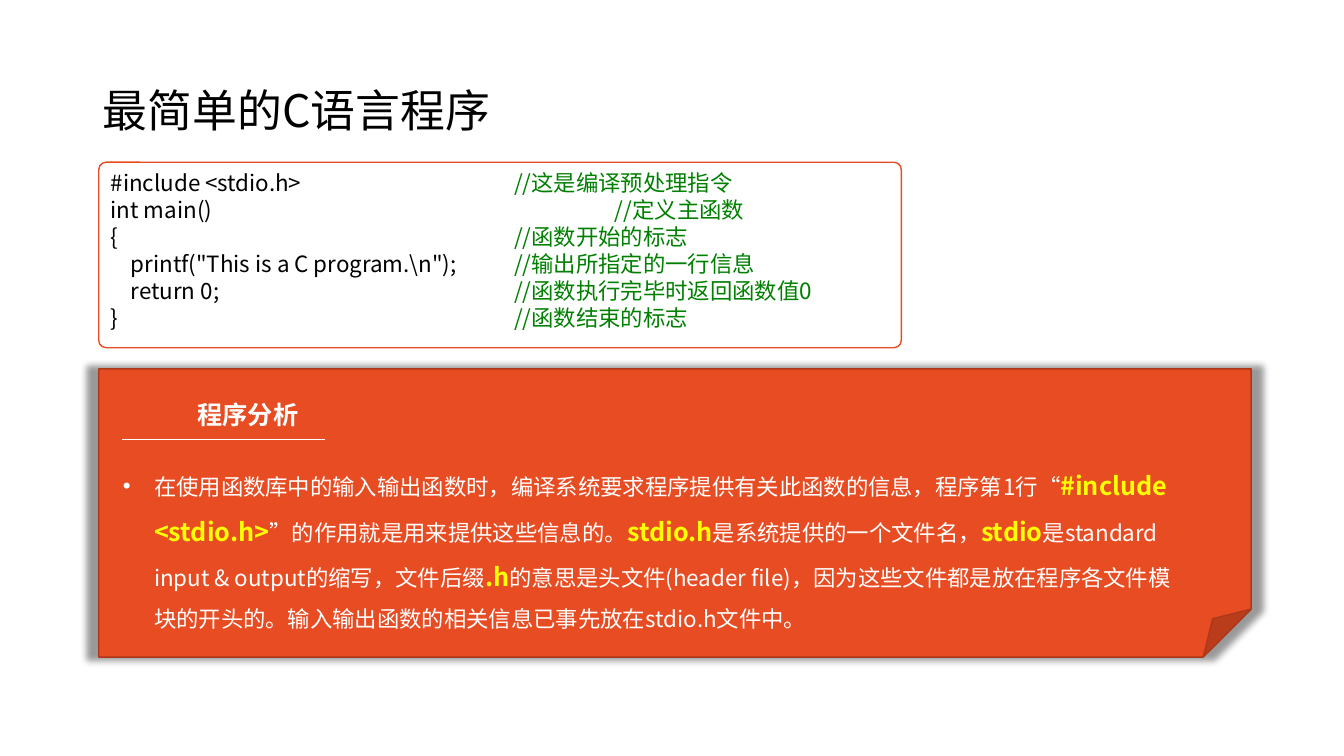
from lxml import etree
from pptx import Presentation
from pptx.dml.color import RGBColor
from pptx.enum.lang import MSO_LANGUAGE_ID
from pptx.enum.shapes import MSO_CONNECTOR, MSO_SHAPE
from pptx.enum.text import MSO_ANCHOR, PP_ALIGN
from pptx.oxml.ns import qn
from pptx.util import Inches, Pt

ROUNDED = MSO_SHAPE.ROUNDED_RECTANGLE
FOLDED = MSO_SHAPE.FOLDED_CORNER
STRAIGHT = MSO_CONNECTOR.STRAIGHT
TOP, MIDDLE = MSO_ANCHOR.TOP, MSO_ANCHOR.MIDDLE
LEFT, JUSTIFY = PP_ALIGN.LEFT, PP_ALIGN.JUSTIFY
CHINESE = MSO_LANGUAGE_ID.SIMPLIFIED_CHINESE

WHITE = RGBColor(0xFF, 0xFF, 0xFF)
BLACK = RGBColor(0x00, 0x00, 0x00)
GREEN = RGBColor(0x00, 0x80, 0x00)
YELLOW = RGBColor(0xFF, 0xFF, 0x00)
ORANGE = RGBColor(0xE8, 0x4C, 0x22)
RUST = RGBColor(0xAC, 0x38, 0x19)

CODE_LINES = [
    ("#include <stdio.h>\t", "//这是编译预处理指令"),
    ("int main()\t\t", "//定义主函数"),
    ("{\t", "//函数开始的标志"),
    ("    printf(\"This is a C program.\\n\");\t", "//输出所指定的一行信息"),
    ("    return 0;\t", "//函数执行完毕时返回函数值0"),
    ("}\t", "//函数结束的标志"),
]
ANALYSIS = [
    "在使用函数库中的输入输出函数时，编译系统要求程序提供有关此函数的信息，程序第1行“",
    "#include <stdio.h>",
    "”的作用就是用来提供这些信息的。",
    "stdio.h",
    "是系统提供的一个文件名，",
    "stdio",
    "是standard input & output的缩写，文件后缀",
    ".h",
    "的意思是头文件(header file)，因为这些文件都是放在程序各文件模块的开头的。"
    "输入输出函数的相关信息已事先放在stdio.h文件中。",
]


def add_child(parent, tag, **values):
    child = etree.SubElement(parent, qn(tag))
    for name, value in values.items():
        child.set(name, str(value))
    return child


class SlideBuilder:
    font_name = "Noto Sans CJK SC"

    def __init__(self, page):
        self.page = page

    def style(self, size, color, bold=False):
        return {"size": Pt(size), "color": color, "bold": bold}

    def add_span(self, para, text, style):
        span = para.add_run()
        span.text = text
        settings = {**style, "name": self.font_name, "language_id": CHINESE}
        span.font.color.rgb = settings.pop("color")
        for name, value in settings.items():
            setattr(span.font, name, value)
        add_child(span._r.get_or_add_rPr(), "a:ea", typeface=self.font_name)

    def fill_text(self, shape, paragraphs, anchor=TOP, align=LEFT, spacing=1.0,
                  bullet=None, tabs=()):
        frame = shape.text_frame
        frame.word_wrap = True
        frame.vertical_anchor = anchor
        for number, spans in enumerate(paragraphs):
            para = frame.add_paragraph() if number else frame.paragraphs[0]
            properties = para._p.get_or_add_pPr()
            if bullet:
                indent = Inches(0.31)
                properties.set("marL", str(indent))
                properties.set("indent", str(-indent))
                bullet_color = add_child(properties, "a:buClr")
                add_child(bullet_color, "a:srgbClr", val=WHITE)
                add_child(properties, "a:buFont", typeface="Arial")
                add_child(properties, "a:buChar", char=bullet)
            if tabs:
                tab_list = add_child(properties, "a:tabLst")
                for stop in tabs:
                    add_child(tab_list, "a:tab", pos=Inches(stop), algn="l")
            para.alignment = align
            para.line_spacing = spacing
            for text, style in spans:
                self.add_span(para, text, style)

    def text(self, left, top, width, height, paragraphs, **layout):
        box = self.page.shapes.add_textbox(*map(Inches, (left, top, width, height)))
        self.fill_text(box, paragraphs, **layout)

    def panel(self, kind, left, top, width, height, fill, line):
        shape = self.page.shapes.add_shape(kind, *map(Inches, (left, top, width, height)))
        shape.shadow.inherit = False
        shape.fill.solid()
        shape.fill.fore_color.rgb = fill
        shape.line.color.rgb = line
        shape.line.width = Pt(1)
        return shape

    def glow_shadow(self, shape):
        effects = shape._element.spPr.find(qn("a:effectLst"))
        shadow = add_child(effects, "a:outerShdw", blurRad=Pt(5), sx=102000, sy=102000,
                           algn="ctr", rotWithShape=0)
        color = add_child(shadow, "a:srgbClr", val=BLACK)
        add_child(color, "a:alpha", val=40000)

    def rule(self, left, right, top, color, width):
        line = self.page.shapes.add_connector(
            STRAIGHT, *map(Inches, (left, top, right, top)))
        line.line.color.rgb = color
        line.line.width = Pt(width)
        add_child(line._element.spPr, "a:effectLst")


def main():
    deck = Presentation()
    deck.slide_width, deck.slide_height = Inches(13.33), Inches(7.5)
    page = deck.slides.add_slide(deck.slide_layouts[6])
    page.background.fill.solid()
    page.background.fill.fore_color.rgb = WHITE
    builder = SlideBuilder(page)

    title = builder.style(32, BLACK)
    builder.text(0.92, 0.4, 11.5, 1.45, [[("最简单的C语言程序", title)]],
                 anchor=MIDDLE, spacing=0.9)

    code, comment = builder.style(16, BLACK), builder.style(16, GREEN)
    listing = builder.panel(ROUNDED, 0.98, 1.61, 7.96, 1.84, WHITE, ORANGE)
    listing.adjustments[0] = 0.04
    builder.fill_text(listing, [[(source, code), (note, comment)]
                                for source, note in CODE_LINES], tabs=(4, 5))

    note_card = builder.panel(FOLDED, 0.98, 3.66, 11.43, 2.86, ORANGE, RUST)
    builder.glow_shadow(note_card)
    heading = builder.style(18, WHITE, bold=True)
    builder.text(1.86, 3.91, 1.36, 0.46, [[("程序分析", heading)]], align=JUSTIFY)
    builder.rule(1.21, 3.22, 4.36, WHITE, 0.5)

    styles = builder.style(16, WHITE), builder.style(18, YELLOW, bold=True)
    explanation = [(text, styles[number % 2]) for number, text in enumerate(ANALYSIS)]
    builder.text(1.12, 4.47, 10.66, 1.87, [explanation], spacing=1.5, bullet="•")

    deck.save("out.pptx")


if __name__ == "__main__":
    main()
